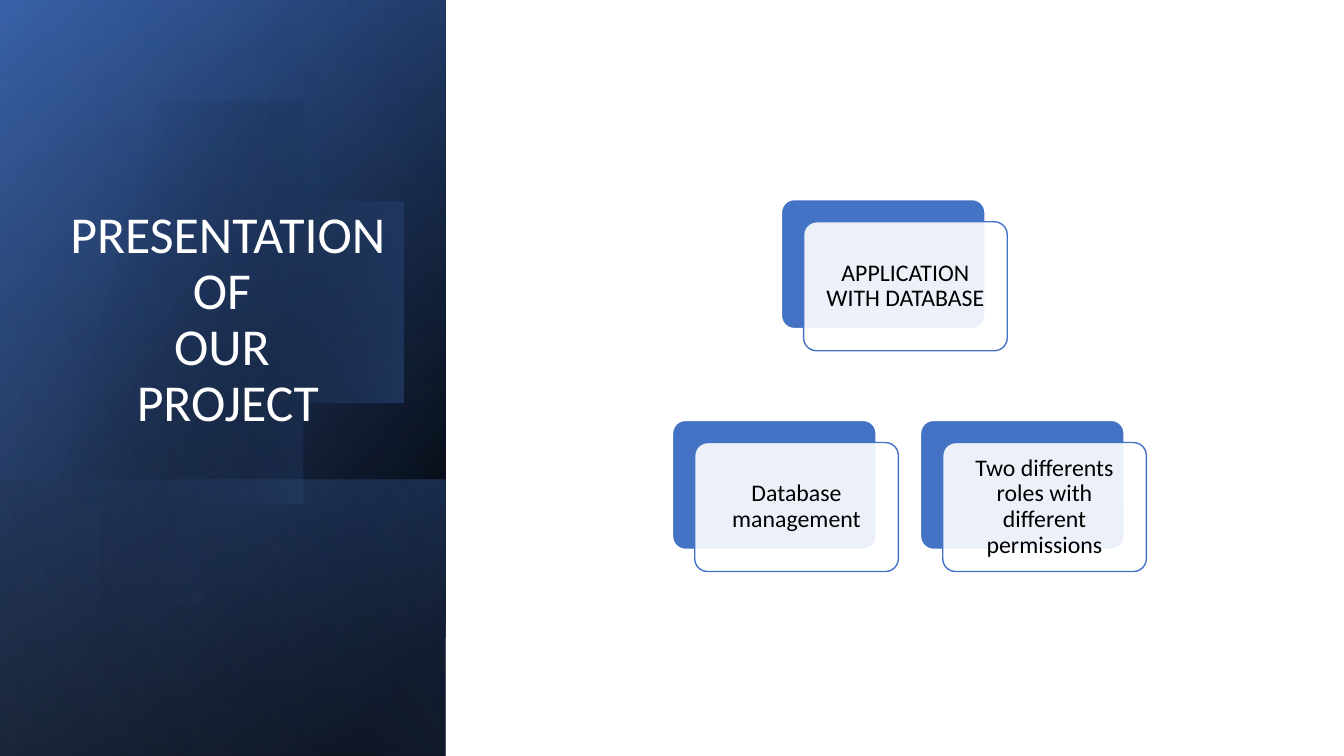
from copy import deepcopy
from math import acos, cos, pi, sin
from pptx import Presentation
from pptx.dml.color import RGBColor
from pptx.enum.shapes import MSO_SHAPE
from pptx.enum.text import MSO_ANCHOR, MSO_AUTO_SIZE, PP_ALIGN
from pptx.oxml.ns import qn
from pptx.util import Inches, Pt

RECT, ROUND = MSO_SHAPE.RECTANGLE, MSO_SHAPE.ROUNDED_RECTANGLE
MIDDLE, BOTTOM = MSO_ANCHOR.MIDDLE, MSO_ANCHOR.BOTTOM
CENTER, NO_FIT = PP_ALIGN.CENTER, MSO_AUTO_SIZE.NONE
WHITE, BLACK = RGBColor(255, 255, 255), RGBColor(0, 0, 0)
BLUE, NAVY = RGBColor(0x44, 0x72, 0xC4), RGBColor(0x2F, 0x55, 0x97)
PALE = RGBColor(0x8F, 0xAA, 0xDC)

# Content
TITLE = "PRESENTATION\vOF \vOUR \vPROJECT"
CARDS = [  # left, top, text
    (7.75, 1.98, "APPLICATION WITH DATABASE"),
    (6.67, 4.17, "Database management"),
    (9.13, 4.17, "Two differents roles with different permissions"),
]

# Side panel: gradient stops are (percent, colour, opacity), angles clockwise
SIDE, FOOT = 4.42, 4.76
LAYERS = [  # top, stops, angle
    (0, [(8, BLACK, 100), (100, NAVY, 100)], 220),
    (0, [(0, BLACK, 0), (99, BLUE, 46)], 240),
    (FOOT, [(2, BLUE, 29), (100, BLACK, 30)], 140),
]
DISC = [(29, BLACK, 0), (100, BLUE, 43)], 14
GLOW = 0, [(0, BLACK, 0), (99, PALE, 11)], 150
MID_X, MID_Y, RADIUS = 1.42, 3.38, 2.29

# Cards
CARD_W, CARD_H, SHIFT = 2.02, 1.28, 0.22

deck = Presentation()
deck.slide_width, deck.slide_height = Inches(13.33), Inches(7.5)
slide = deck.slides.add_slide(deck.slide_layouts[5])
shapes = slide.shapes


def fade(shape, *levels):
    colors = shape._element.spPr.iter(qn("a:srgbClr"))
    for color, level in zip(list(colors), levels):
        if level < 100:
            alpha = color.makeelement(qn("a:alpha"), {"val": str(level * 1000)})
            color.append(alpha)


def blend(shape, stops, angle):
    shape.shadow.inherit = False
    shape.fill.gradient()
    shape.fill.gradient_angle = 360 - angle
    for stop, (place, color, _) in zip(shape.fill.gradient_stops, stops):
        stop.position, stop.color.rgb = place / 100, color
    fade(shape, *[level for _, _, level in stops])
    shape.line.fill.background()


def panel(top, stops, angle):
    box = map(Inches, (0, top, SIDE, 7.5 - top))
    blend(shapes.add_shape(RECT, *box), stops, angle)


def card(left, top, fill, line, level=100):
    box = map(Inches, (left, top, CARD_W, CARD_H))
    shape = shapes.add_shape(ROUND, *box)
    shape.adjustments[0] = 0.1
    shape.shadow.inherit = False
    shape.fill.solid()
    shape.fill.fore_color.rgb = fill
    fade(shape, level)
    shape.line.color.rgb, shape.line.width = line, Pt(1)
    return shape


def write(shape, text, size, color, anchor=MIDDLE, inset=None):
    frame = shape.text_frame
    frame.word_wrap, frame.auto_size = True, NO_FIT
    frame.vertical_anchor = anchor
    if inset is not None:
        frame.margin_left = frame.margin_right = Inches(inset)
        frame.margin_top = frame.margin_bottom = Inches(inset)
    para = frame.paragraphs[0]
    para.text = text
    para.alignment, para.line_spacing = CENTER, 0.9
    for run in para.runs:
        run.font.name, run.font.size = "Calibri", Pt(size)
        run.font.color.rgb = color
    # Line breaks take the size of the text around them
    for gap in para._p.findall(qn("a:br")):
        gap.append(deepcopy(para.runs[0]._r.rPr))


# Side panel with the disc cut at the slide's edge
for layer in LAYERS:
    panel(*layer)
reach = pi - acos(MID_X / RADIUS)
turns = [reach * (step / 60 - 1) for step in range(121)]
points = [(MID_X + RADIUS * cos(t), MID_Y + RADIUS * sin(t)) for t in turns]
disc = shapes.build_freeform(*points[0], scale=Inches(1))
disc.add_line_segments(points[1:], close=True)
blend(disc.convert_to_shape(), *DISC)
panel(*GLOW)

# Title, brought in front of the panel
title = shapes.title
title.left, title.top = Inches(0.51), Inches(0.64)
title.width, title.height = Inches(3.5), Inches(3.7)
write(title, TITLE, 37, WHITE, anchor=BOTTOM)
shapes._spTree.append(title._element)

# Cards: a blue back and a clear front that holds the text
for left, top, text in CARDS:
    card(left, top, BLUE, WHITE)
    front = card(left + SHIFT, top + SHIFT, WHITE, BLUE, level=90)
    write(front, text, 17, BLACK, inset=0.07)

deck.save("out.pptx")
